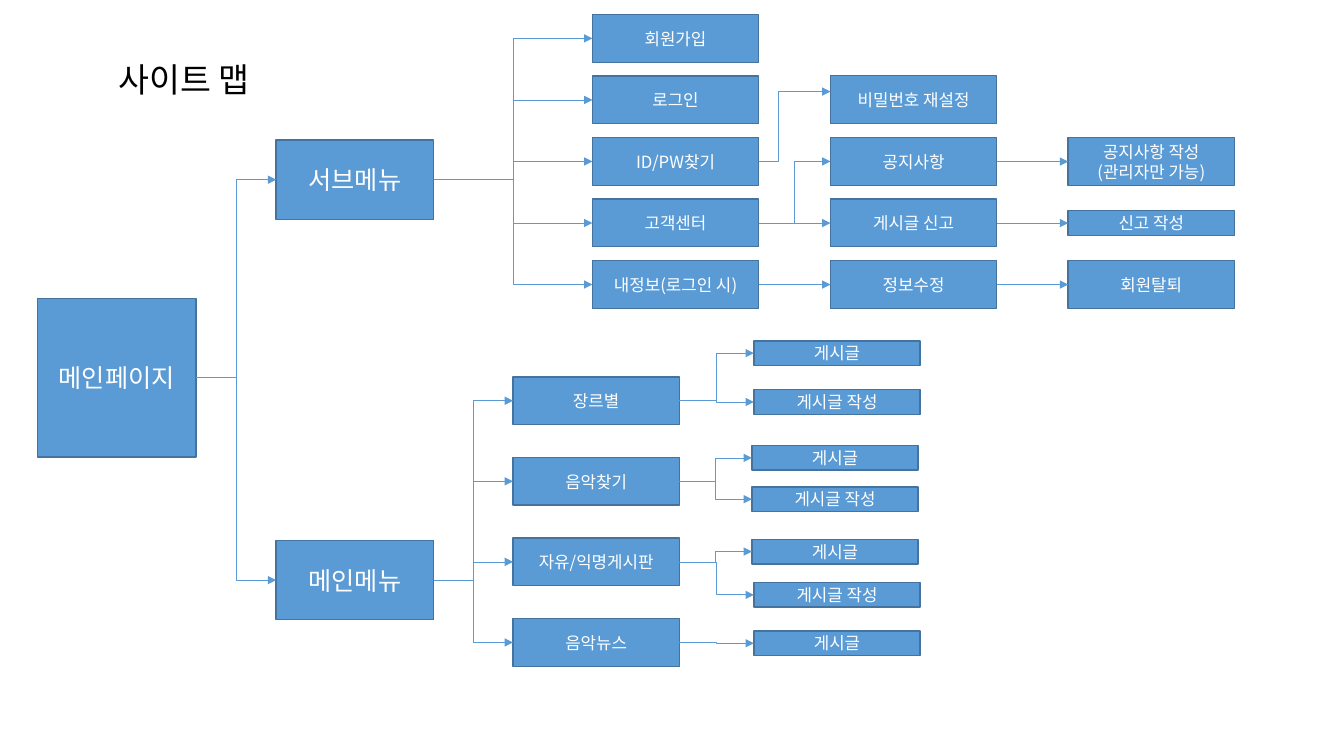
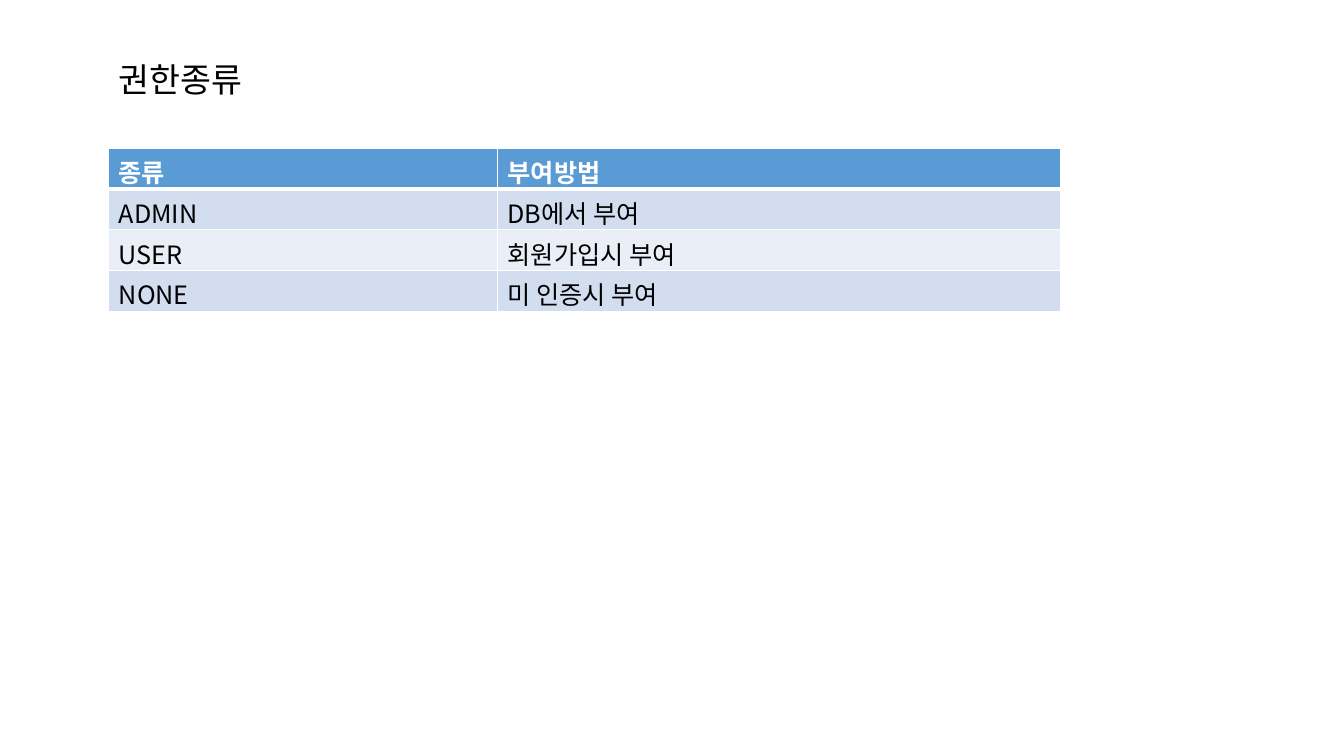
from lxml.etree import SubElement
from pptx import Presentation
from pptx.dml.color import RGBColor
from pptx.enum.shapes import MSO_CONNECTOR as CONN, MSO_SHAPE as SHAPE
from pptx.enum.text import MSO_ANCHOR as ANCHOR, MSO_AUTO_SIZE as AUTO, PP_ALIGN as ALIGN
from pptx.oxml.ns import qn
from pptx.util import Cm, Pt

FONT = "Noto Sans CJK KR"
BLUE, EDGE, WHITE, BLACK = "5B9BD5", "43739E", "FFFFFF", "000000"
BANDS = ["D2DEEF", "EAEFF7"]

BOX_W, BOX_H, LEAF_H = 4.19, 1.2, 0.62
MENU_X, MENU_W, MENU_H = 6.96, 3.97, 2
SUB_X = [14.93, 20.93, 26.92]
SUB_ROWS = [0.37 + 1.55 * i for i in range(5)]
BOARD_X = 12.93
BOARD_ROWS = [9.5 + 2.03 * i for i in range(4)]


def color(value):
    return RGBColor.from_string(value)


def write(tf, text, size=12, fill=WHITE, bold=False, align=ALIGN.LEFT):
    for i, line in enumerate(text.split("\n")):
        p = tf.paragraphs[0] if i == 0 else tf.add_paragraph()
        p.alignment = align
        r = p.add_run()
        r.text = line
        r.font.size = Pt(size)
        r.font.bold = bold
        r.font.color.rgb = color(fill)
        r.font.name = FONT
        SubElement(r._r.get_or_add_rPr(), qn("a:ea"), typeface=FONT)


def add_title(s, text, width):
    tf = s.shapes.add_textbox(Cm(2.74), Cm(1.35), Cm(width), Cm(1.27)).text_frame
    tf.word_wrap = False
    tf.auto_size = AUTO.SHAPE_TO_FIT_TEXT
    write(tf, text, size=24, fill=BLACK)


def add_box(s, text, x, y, w=BOX_W, h=BOX_H, size=12):
    sp = s.shapes.add_shape(SHAPE.RECTANGLE, Cm(x), Cm(y), Cm(w), Cm(h))
    sp.shadow.inherit = False
    sp.fill.solid()
    sp.fill.fore_color.rgb = color(BLUE)
    sp.line.color.rgb = color(EDGE)
    sp.line.width = Pt(1)
    tf = sp.text_frame
    tf.word_wrap = True
    tf.vertical_anchor = ANCHOR.MIDDLE
    write(tf, text, size=size, align=ALIGN.CENTER)
    return sp


def add_arrow(s, source, target, end_y=None, bend=None):
    start_y = source.top + source.height // 2
    middle_y = target.top + target.height // 2
    y = middle_y if end_y is None else Cm(end_y)
    kind = CONN.STRAIGHT if abs(y - start_y) < Cm(0.01) else CONN.ELBOW
    cxn = s.shapes.add_connector(kind, source.left + source.width, start_y, target.left, y)
    cxn.begin_connect(source, 3)
    if end_y is None:
        cxn.end_connect(target, 1)
    cxn.line.color.rgb = color(BLUE)
    cxn.line.width = Pt(0.5)
    SubElement(cxn.line._get_or_add_ln(), qn("a:tailEnd"), type="triangle")
    sp_pr = cxn._element.spPr
    SubElement(sp_pr, qn("a:effectLst"))
    if bend is not None:
        guides = sp_pr.find(qn("a:prstGeom")).get_or_add_avLst()
        SubElement(guides, qn("a:gd"), name="adj1", fmla=f"val {round(bend * 100000)}")


def add_children(s, parent, x, items, **fmt):
    boxes = []
    for text, y in items:
        box = add_box(s, text, x, y, **fmt)
        add_arrow(s, parent, box)
        boxes.append(box)
    return boxes


def add_sub_menu(s, menu):
    names = ["회원가입", "로그인", "ID/PW찾기", "고객센터", "내정보(로그인 시)"]
    _, _, find, support, profile = add_children(s, menu, SUB_X[0], zip(names, SUB_ROWS))

    reset = add_box(s, "비밀번호 재설정", SUB_X[1], 1.91)
    add_arrow(s, find, reset, end_y=2.31, bend=0.28)

    notice, report = add_children(
        s, support, SUB_X[1], zip(["공지사항", "게시글 신고"], SUB_ROWS[2:]))
    [edit] = add_children(s, profile, SUB_X[1], [("정보수정", SUB_ROWS[4])])

    add_children(s, notice, SUB_X[2], [("공지사항 작성\n(관리자만 가능)", SUB_ROWS[2])])
    leaf_y = SUB_ROWS[3] + (BOX_H - LEAF_H) / 2
    add_children(s, report, SUB_X[2], [("신고 작성", leaf_y)], h=LEAF_H)
    add_children(s, edit, SUB_X[2], [("회원탈퇴", SUB_ROWS[4])])


def add_main_menu(s, menu):
    names = ["장르별", "음악찾기", "자유/익명게시판", "음악뉴스"]
    posts = [
        [("게시글", 19, 8.59), ("게시글 작성", 19, 9.82)],
        [("게시글", 18.95, 11.23), ("게시글 작성", 18.95, 12.27)],
        [("게시글", 18.95, 13.59), ("게시글 작성", 19, 14.68)],
        [("게시글", 19, 15.9)],
    ]
    boards = add_children(s, menu, BOARD_X, zip(names, BOARD_ROWS))
    for board, leaves in zip(boards, posts):
        for text, x, y in leaves:
            add_children(s, board, x, [(text, y)], h=LEAF_H)


def add_site_map(s):
    add_title(s, "사이트 맵", 4.24)
    home = add_box(s, "메인페이지", 0.94, 7.52, w=4, h=4, size=18)
    sub, main_menu = add_children(
        s, home, MENU_X, [("서브메뉴", 3.53), ("메인메뉴", 13.62)],
        w=MENU_W, h=MENU_H, size=18)
    add_sub_menu(s, sub)
    add_main_menu(s, main_menu)


def set_borders(cell, **widths):
    tc_pr = cell._tc.get_or_add_tcPr()
    for side in "LRTB":
        ln = SubElement(tc_pr, qn(f"a:ln{side}"), w=str(Pt(widths.get(side, 1))))
        fill = SubElement(ln, qn("a:solidFill"))
        SubElement(fill, qn("a:srgbClr"), val=WHITE)


def add_grid(s, rows, x, y, col_widths, row_h):
    table = s.shapes.add_table(
        len(rows), len(col_widths), Cm(x), Cm(y),
        Cm(sum(col_widths)), Cm(row_h * len(rows))).table
    for col, width in zip(table.columns, col_widths):
        col.width = Cm(width)
    for i, row in enumerate(rows):
        table.rows[i].height = Cm(row_h)
        header = i == 0
        for j, text in enumerate(row):
            cell = table.cell(i, j)
            set_borders(cell, T=3 if i == 1 else 1, B=3 if header else 1)
            cell.fill.solid()
            cell.fill.fore_color.rgb = color(BLUE if header else BANDS[(i - 1) % 2])
            write(cell.text_frame, text, size=18, bold=header,
                  fill=WHITE if header else BLACK)


def add_roles(s):
    add_title(s, "권한종류", 3.94)
    rows = [
        ("종류", "부여방법"),
        ("ADMIN", "DB에서 부여"),
        ("USER", "회원가입시 부여"),
        ("NONE", "미 인증시 부여"),
    ]
    add_grid(s, rows, 2.74, 3.73, [9.8, 14.2], 1.03)


def main():
    prs = Presentation()
    prs.slide_width, prs.slide_height = Cm(33.87), Cm(19.05)
    for build in (add_site_map, add_roles):
        build(prs.slides.add_slide(prs.slide_layouts[6]))
    prs.save("out.pptx")


if __name__ == "__main__":
    main()
